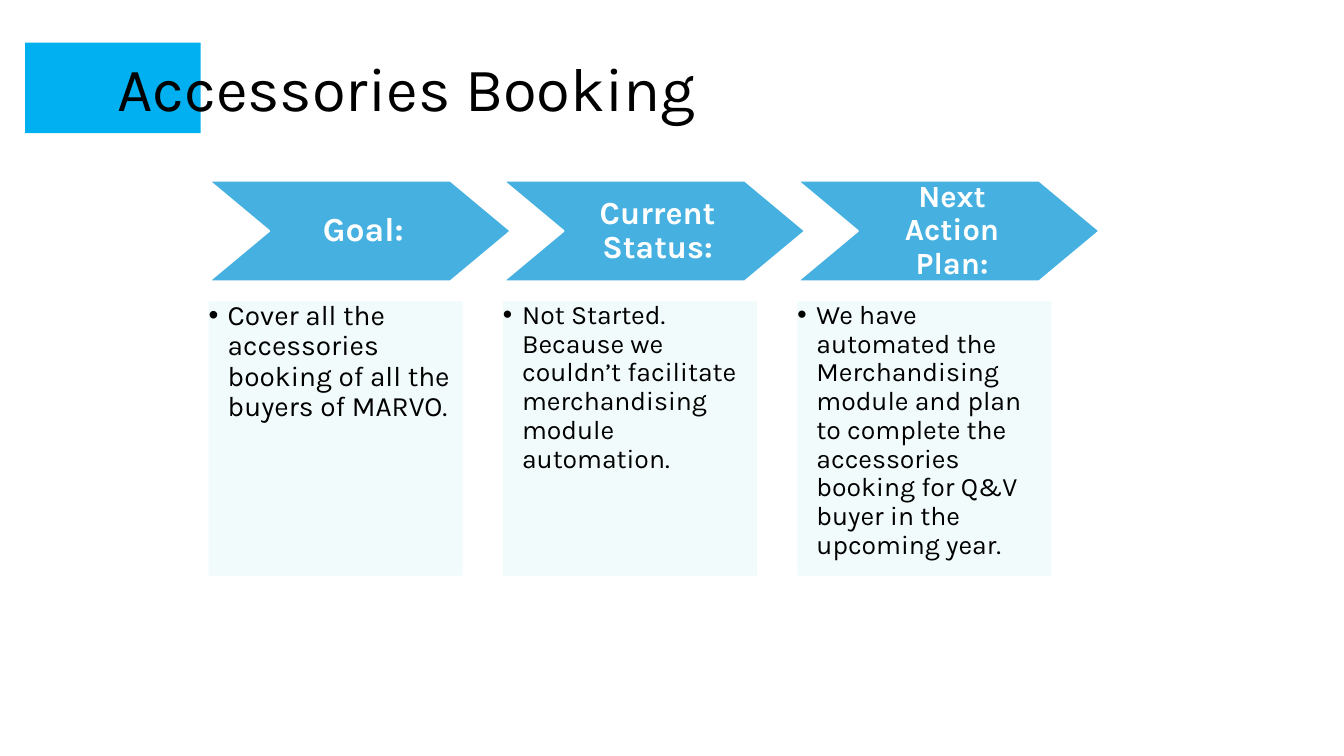
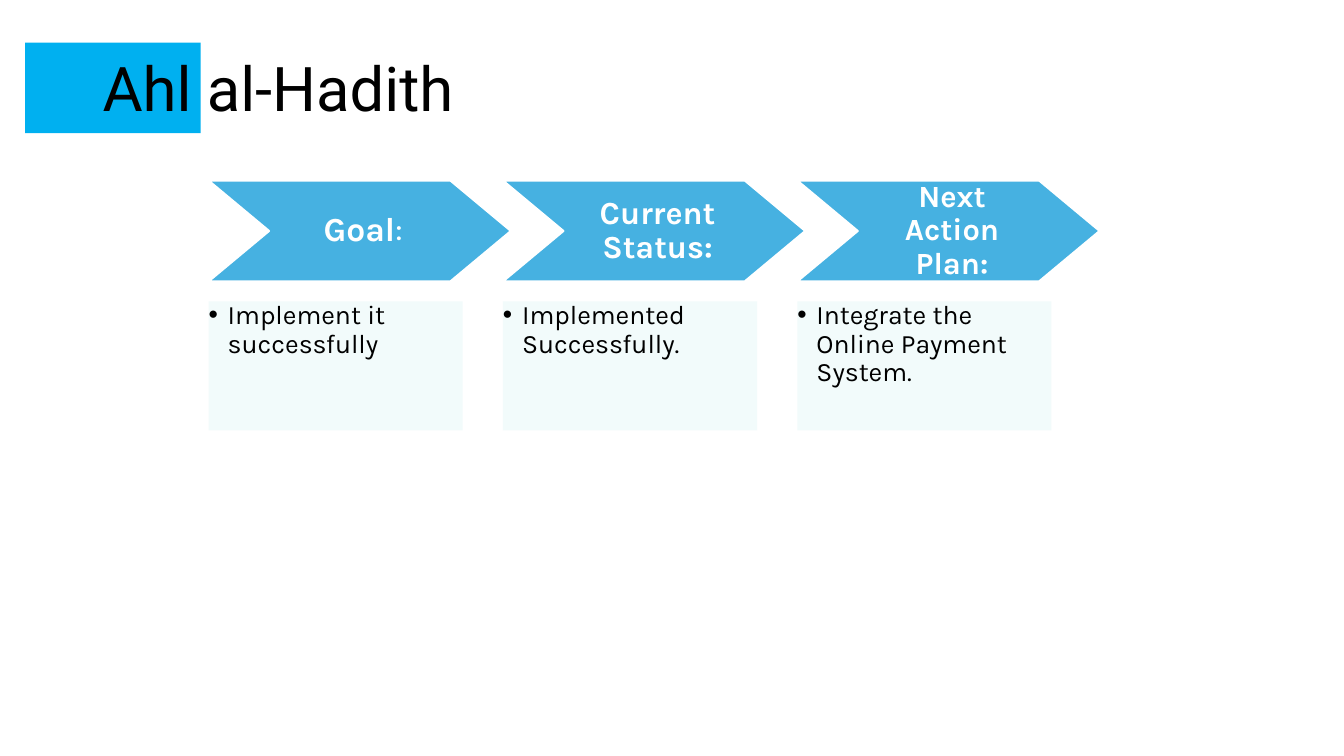
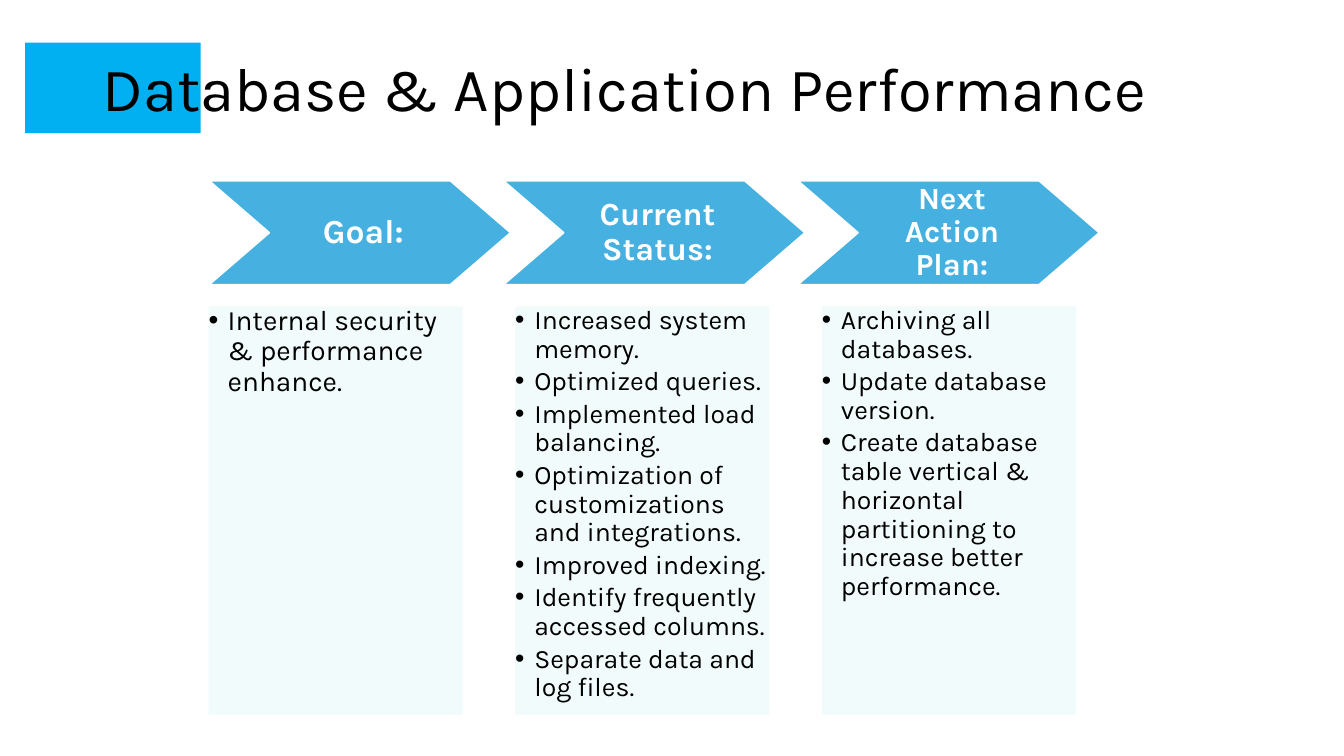
from lxml import etree
from pptx import Presentation
from pptx.dml.color import RGBColor
from pptx.enum import shapes, text
from pptx.oxml.ns import qn
from pptx.util import Pt

BAND = RGBColor(0x00, 0xB0, 0xF0)
STEP = RGBColor(0x46, 0xB1, 0xE1)
PANEL = RGBColor(0xF2, 0xFB, 0xFB)
WHITE = RGBColor(0xFF, 0xFF, 0xFF)
BLACK = RGBColor(0x00, 0x00, 0x00)

COLUMN_LEFT = 149
STEP_TOP, STEP_WIDTH, STEP_TIP, STEP_PITCH = 129, 216, 43.2, 210.25
PANEL_WIDTH = 181.5
BULLET_INDENT = 13.7
HEADING_SIZES = (24, 23, 22)


class Deck:
    font = "Karla"

    def __init__(self):
        self.prs = Presentation()
        self.prs.slide_width, self.prs.slide_height = Pt(960), Pt(540)
        self.slide = None

    def shape(self, preset, box, fill, line=None):
        figure = self.slide.shapes.add_shape(preset, *map(Pt, box))
        figure.shadow.inherit = False
        figure.fill.solid()
        figure.fill.fore_color.rgb = fill
        if line is None:
            figure.line.fill.background()
        else:
            figure.line.color.rgb = line
            figure.line.width = Pt(1.5)
        return figure

    def frame(self, figure, anchor, margins):
        frame = figure.text_frame
        sides = ("margin_left", "margin_top", "margin_right", "margin_bottom")
        settings = dict(zip(sides, map(Pt, margins)))
        settings.update(word_wrap=True, vertical_anchor=anchor)
        for key, value in settings.items():
            setattr(frame, key, value)
        return frame

    def add_words(self, paragraph, words, align=text.PP_ALIGN.LEFT, **format_values):
        paragraph.line_spacing = 0.9
        paragraph.alignment = align
        run = paragraph.add_run()
        run.text = words
        run.font.color.rgb = format_values.pop("color", BLACK)
        for key, value in {"name": self.font, **format_values}.items():
            setattr(run.font, key, value)

    def new_slide(self, title, font):
        self.slide = self.prs.slides.add_slide(self.prs.slide_layouts[6])
        self.shape(shapes.MSO_SHAPE.RECTANGLE, (18, 30.4, 125.3, 64.8), BAND)
        heading = self.slide.shapes.add_textbox(*map(Pt, (66.2, 28.8, 813.6, 72.7)))
        frame = self.frame(heading, text.MSO_ANCHOR.MIDDLE, (7.2, 3.6, 7.2, 3.6))
        self.add_words(frame.paragraphs[0], title, name=font, size=Pt(44))

    def step(self, left, height, size, label, plain_end=""):
        chevron = self.shape(shapes.MSO_SHAPE.CHEVRON,
                             (left, STEP_TOP, STEP_WIDTH, height), STEP, WHITE)
        chevron.adjustments[0] = STEP_TIP / height
        frame = self.frame(chevron, text.MSO_ANCHOR.MIDDLE, (10, 2.5, 5, 2.5))
        for words, bold in ((label, True), (plain_end, False)):
            if words:
                self.add_words(frame.paragraphs[0], words, text.PP_ALIGN.CENTER,
                               size=Pt(size), bold=bold, color=WHITE)

    def panel(self, box, size, items):
        panel = self.shape(shapes.MSO_SHAPE.RECTANGLE, box, PANEL)
        frame = self.frame(panel, text.MSO_ANCHOR.TOP, (0, 0, 0, 0))
        for index, item in enumerate(items):
            paragraph = frame.add_paragraph() if index else frame.paragraphs[0]
            self.add_words(paragraph, item, size=Pt(size))
            paragraph.space_after = Pt(2.7)
            props = paragraph._p.get_or_add_pPr()
            props.set("marL", str(Pt(BULLET_INDENT)))
            props.set("indent", str(-Pt(BULLET_INDENT)))
            etree.SubElement(props, qn("a:buFont")).set("typeface", "Arial")
            etree.SubElement(props, qn("a:buChar")).set("char", "•")

    def status_slide(self, title, columns, panel_height, font=font, goal=("Goal:",),
                     step_height=72, panel_top=215.3, panel_pitch=STEP_PITCH):
        self.new_slide(title, font)
        labels = (goal, ("Current Status:",), ("Next Action Plan:",))
        for index, (label, heading_size, (size, items)) in enumerate(
                zip(labels, HEADING_SIZES, columns)):
            self.step(COLUMN_LEFT + index * STEP_PITCH, step_height, heading_size, *label)
            left = COLUMN_LEFT + index * panel_pitch
            self.panel((left, panel_top, PANEL_WIDTH, panel_height), size, items)


def main():
    deck = Deck()
    deck.status_slide(" Accessories Booking", (
        (20, ["Cover all the accessories booking of all the buyers of MARVO."]),
        (19, ["Not Started. Because we couldn’t facilitate merchandising module automation."]),
        (19, ["We have automated the Merchandising module and plan to complete the "
              "accessories booking for Q&V buyer in the upcoming year."]),
    ), panel_height=196)
    deck.status_slide("Ahl al-Hadith", (
        (19, ["Implement it successfully"]),
        (19, ["Implemented Successfully."]),
        (19, ["Integrate the Online Payment System."]),
    ), panel_height=92.2, font="Roboto", goal=("Goal", ":"))
    deck.status_slide("Database & Application Performance", (
        (20, ["Internal security & performance enhance."]),
        (19, ["Increased system memory.",
              "Optimized queries.",
              "Implemented load balancing.",
              "Optimization of customizations and integrations.",
              "Improved indexing.",
              "Identify frequently accessed columns.",
              "Separate data and log files."]),
        (19, ["Archiving all databases.",
              "Update database version.",
              "Create database table vertical & horizontal partitioning to increase "
              "better performance."]),
    ), panel_height=291.6, step_height=74.5, panel_top=218.9, panel_pitch=219)
    deck.prs.save("out.pptx")


if __name__ == "__main__":
    main()
